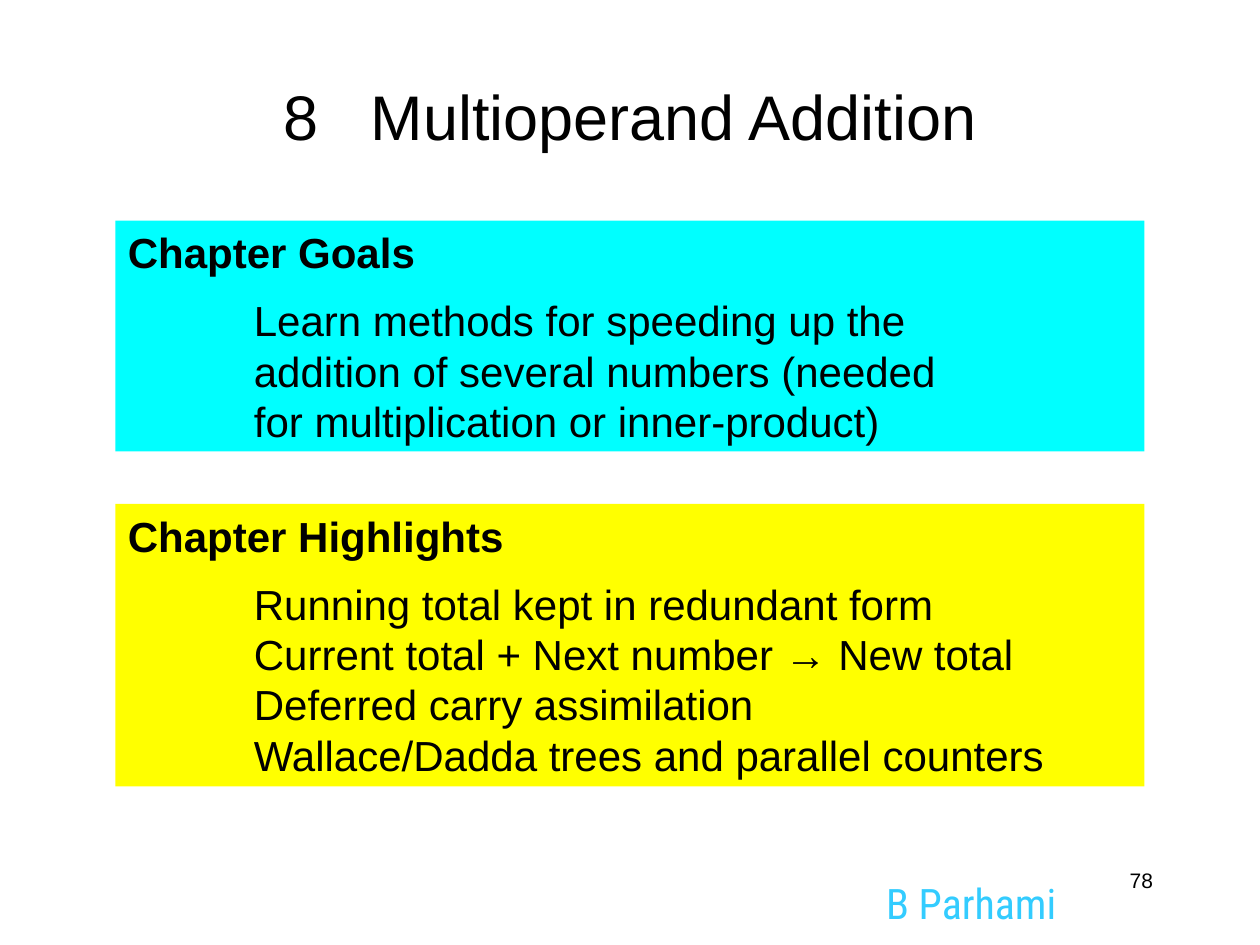
import pptx
import pptx.util
import pptx.dml.color
import pptx.enum.shapes
import pptx.enum.text

COLORS = {"text": "000000", "goals": "00FFFF", "highlights": "FFFF00",
          "author": "33CCFF"}
WIDTH, HEIGHT = 10, 7.5
GRID = WIDTH / 120  # one column or row of the layout grid, in inches
ALIGN = pptx.enum.text.PP_ALIGN


def color(name):
    return pptx.dml.color.RGBColor.from_string(COLORS[name])


def area(left, top, width, height):
    """Convert grid columns and rows to lengths."""
    return [pptx.util.Inches(cells * GRID) for cells in (left, top, width, height)]


def write(paragraph, text, size=24, font="Arial", ink="text", bold=False,
          align=ALIGN.LEFT, before=0, indent=0, tracking=0):
    """Add a formatted run of text to a paragraph."""
    paragraph.alignment = align
    if before:
        paragraph.space_before = pptx.util.Pt(before)
    if indent:
        properties = paragraph._p.get_or_add_pPr()
        properties.set("marL", str(pptx.util.Inches(indent)))
        properties.set("indent", "0")
    run = paragraph.add_run()
    run.text = text
    run.font.size = pptx.util.Pt(size)
    run.font.name = font
    run.font.bold = bold
    run.font.color.rgb = color(ink)
    if tracking:
        run._r.get_or_add_rPr().set("spc", str(tracking * 100))


def add_label(slide, place, anchor=pptx.enum.text.MSO_ANCHOR.TOP):
    """Add a text box and return its first paragraph."""
    frame = slide.shapes.add_textbox(*area(*place)).text_frame
    frame.word_wrap = True
    frame.vertical_anchor = anchor
    return frame.paragraphs[0]


def add_panel(slide, top, height, fill, heading, lines):
    """Add a coloured panel with a bold heading and indented lines."""
    panel = slide.shapes.add_shape(pptx.enum.shapes.MSO_SHAPE.RECTANGLE,
                                   *area(11, top, 98, height))
    panel.shadow.inherit = False
    panel.fill.solid()
    panel.fill.fore_color.rgb = color(fill)
    panel.line.fill.background()
    frame = panel.text_frame
    frame.word_wrap = True
    frame.vertical_anchor = pptx.enum.text.MSO_ANCHOR.TOP
    write(frame.paragraphs[0], heading, bold=True, align=ALIGN.JUSTIFY)
    for number, line in enumerate(lines):
        write(frame.add_paragraph(), line, align=ALIGN.JUSTIFY, indent=1,
              before=0 if number else 10)


def main():
    deck = pptx.Presentation()
    deck.slide_width = pptx.util.Inches(WIDTH)
    deck.slide_height = pptx.util.Inches(HEIGHT)
    slide = deck.slides.add_slide(deck.slide_layouts[6])

    # Author mark
    author = add_label(slide, (82, 83, 21, 5))
    write(author, "B Parhami", font="Roboto Condensed", ink="author",
          align=ALIGN.CENTER)

    # Title, with a widened space after the chapter number
    title = add_label(slide, (5, 5, 110, 12), anchor=pptx.enum.text.MSO_ANCHOR.MIDDLE)
    for text, tracking in (("8", 0), (" ", 20), ("Multioperand Addition", 0)):
        write(title, text, size=36, align=ALIGN.CENTER, tracking=tracking)

    # Chapter panels
    add_panel(slide, 21, 22, "goals", "Chapter Goals", [
        "Learn methods for speeding up the",
        "addition of several numbers (needed",
        "for multiplication or inner-product)"])
    add_panel(slide, 48, 26.9, "highlights", "Chapter Highlights", [
        "Running total kept in redundant form",
        "Current total + Next number → New total",
        "Deferred carry assimilation",
        "Wallace/Dadda trees and parallel counters"])

    # Page number
    page = add_label(slide, (86, 82, 25, 6))
    write(page, "78", size=12, align=ALIGN.RIGHT)

    deck.save("out.pptx")


if __name__ == "__main__":
    main()
